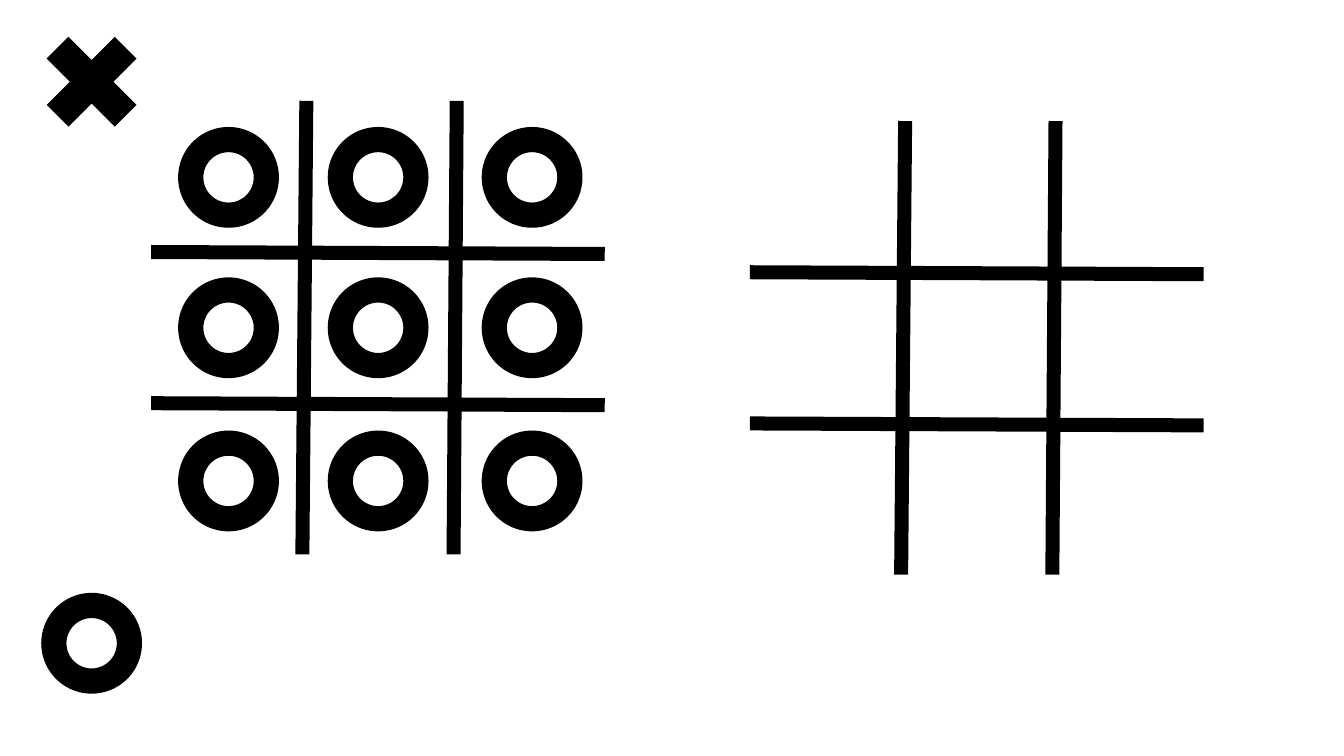
from itertools import product
from typing import NamedTuple

from lxml import etree
from pptx import Presentation
from pptx.dml.color import RGBColor
from pptx.enum.shapes import MSO_CONNECTOR, MSO_SHAPE
from pptx.oxml.ns import qn
from pptx.slide import Slide
from pptx.util import Cm, Pt

COLORS = {"ink": "000000"}
INK = RGBColor.from_string(COLORS["ink"])
CELL = 3.81
BOARD_SIZE = 3 * CELL
NOUGHT_SIZE = 2.54
NOUGHT_LEFTS = (0.68, 4.45, 8.33)
NOUGHT_TOPS = (0.66, 4.45, 8.31)


class Board(NamedTuple):
    """Top left corner of a board, in centimetres."""
    left: float
    top: float


class Mark(NamedTuple):
    """A nought or cross, in centimetres."""
    kind: MSO_SHAPE
    left: float
    top: float
    size: float


class GridLine(NamedTuple):
    """Line ends relative to the board corner, in centimetres."""
    x1: float
    y1: float
    x2: float
    y2: float


# Every line leans slightly, as if drawn by hand.
GRID_LINES = (
    GridLine(CELL + 0.1, 0, CELL, BOARD_SIZE),
    GridLine(2 * CELL + 0.08, 0, 2 * CELL, BOARD_SIZE),
    GridLine(BOARD_SIZE, CELL + 0.05, 0, CELL),
    GridLine(BOARD_SIZE, 2 * CELL + 0.05, 0, 2 * CELL),
)


def draw_board(slide: Slide, board: Board) -> None:
    """Draw the four lines of a board."""
    for line in GRID_LINES:
        connector = slide.shapes.add_connector(
            MSO_CONNECTOR.STRAIGHT,
            Cm(board.left + line.x1), Cm(board.top + line.y1),
            Cm(board.left + line.x2), Cm(board.top + line.y2))
        connector.line.color.rgb = INK
        connector.line.width = Pt(10)
        properties = connector._element.find(qn("p:spPr"))
        etree.SubElement(properties, qn("a:effectLst"))


def draw_mark(slide: Slide, mark: Mark) -> None:
    """Draw one solid mark without an outline."""
    shape = slide.shapes.add_shape(
        mark.kind, Cm(mark.left), Cm(mark.top), Cm(mark.size), Cm(mark.size))
    shape.shadow.inherit = False
    shape.fill.solid()
    shape.fill.fore_color.rgb = INK
    shape.line.fill.background()


def main() -> None:
    """Build the tic-tac-toe slide."""
    presentation = Presentation()
    presentation.slide_width = Cm(33.87)
    presentation.slide_height = Cm(19.05)
    slide = presentation.slides.add_slide(presentation.slide_layouts[6])

    full_board = Board(3.81, 2.54)
    empty_board = Board(18.9, 3.05)
    for board in (full_board, empty_board):
        draw_board(slide, board)

    marks = [Mark(MSO_SHAPE.DONUT, full_board.left + left, full_board.top + top, NOUGHT_SIZE)
             for top, left in product(NOUGHT_TOPS, NOUGHT_LEFTS)]
    marks.append(Mark(MSO_SHAPE.MATH_MULTIPLY, 0.66, 0.41, 3.3))
    marks.append(Mark(MSO_SHAPE.DONUT, 1.04, 14.94, NOUGHT_SIZE))
    for mark in marks:
        draw_mark(slide, mark)

    presentation.save("out.pptx")


main()
